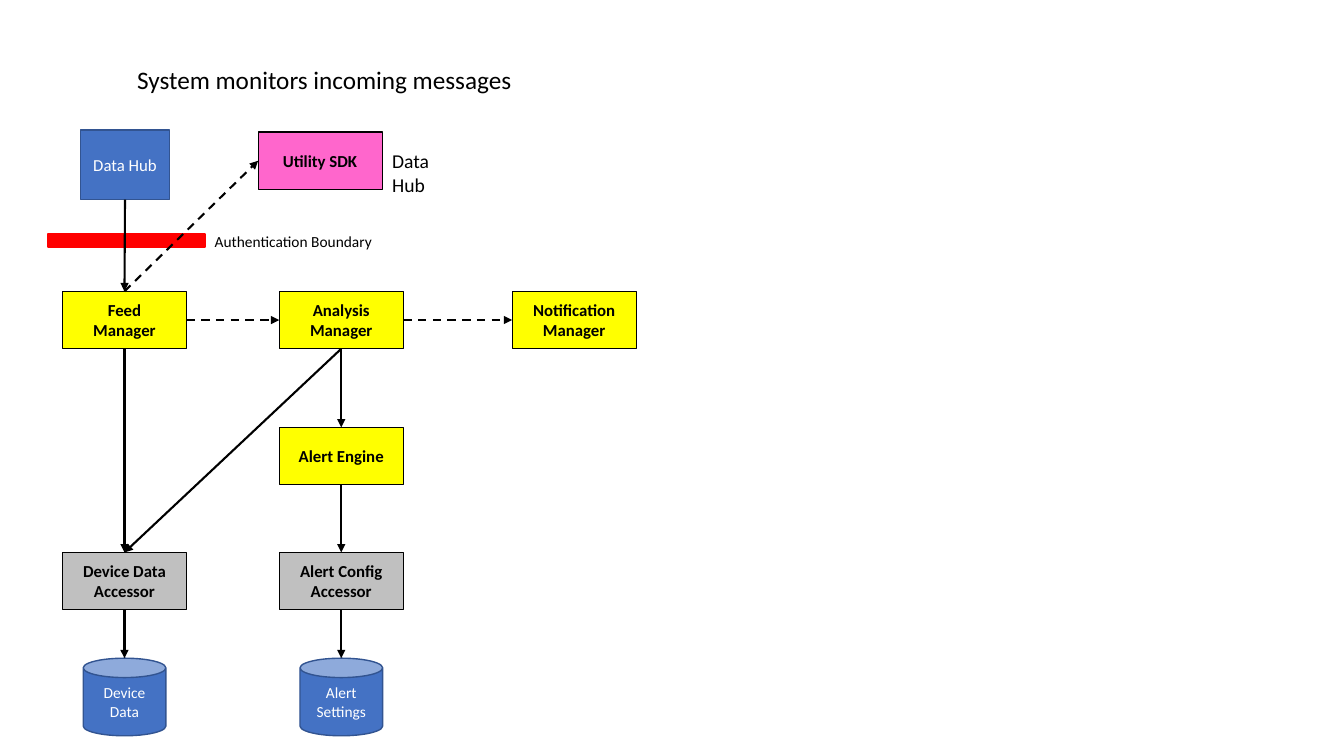
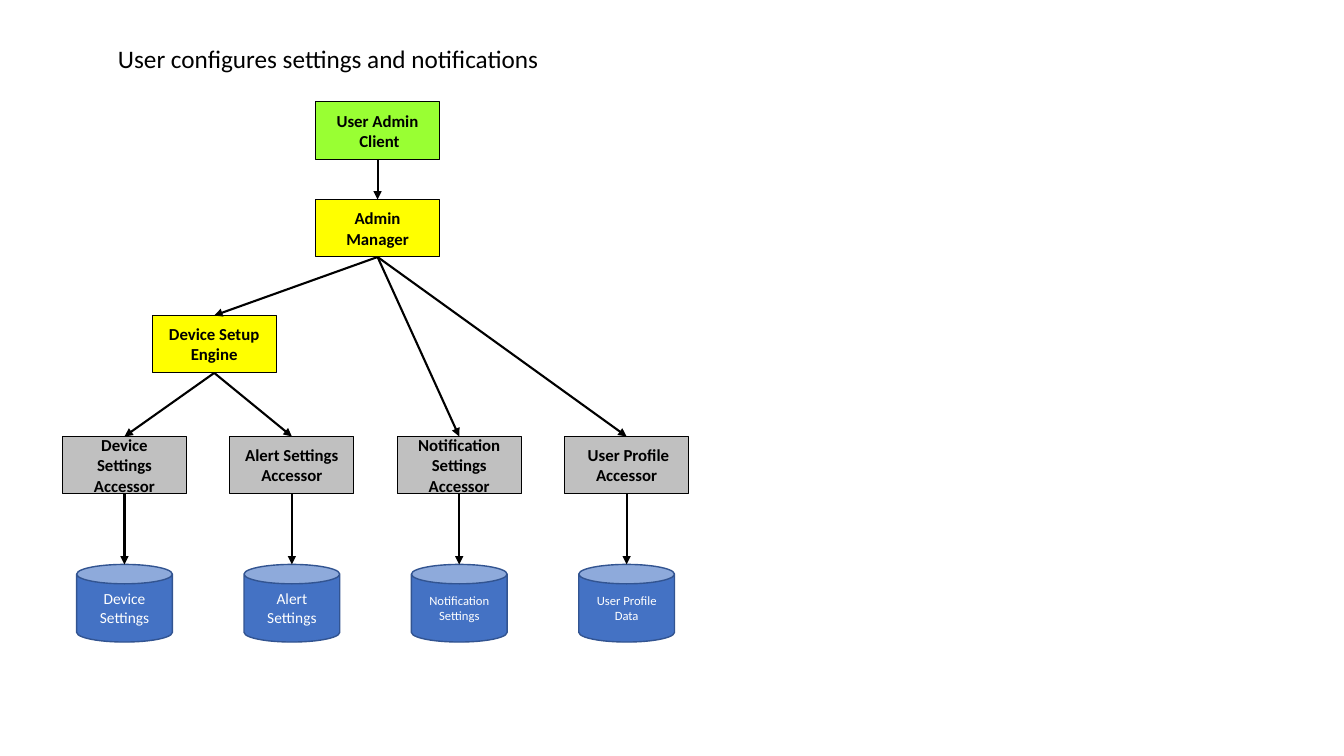
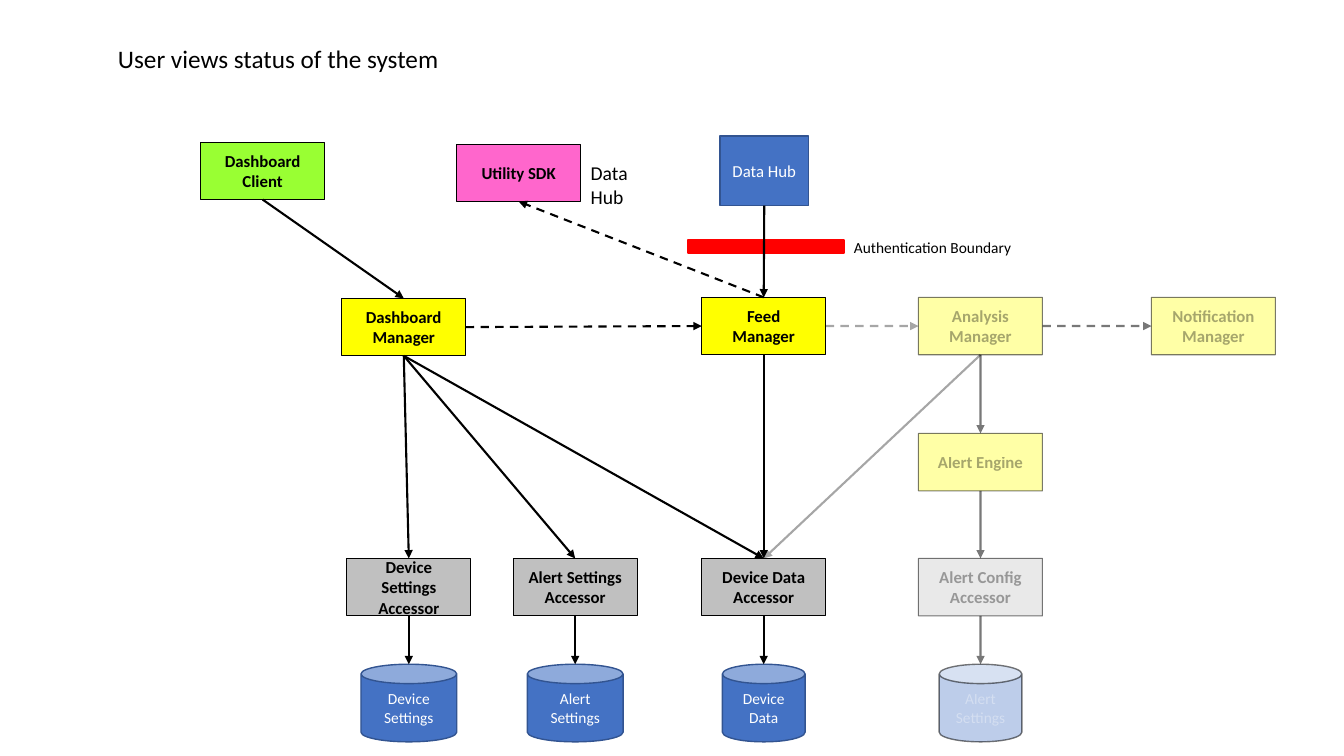
from pptx import Presentation
from pptx.dml.color import RGBColor
from pptx.enum.dml import MSO_LINE_DASH_STYLE as Dash
from pptx.enum.shapes import MSO_CONNECTOR as Wire, MSO_SHAPE as Form
from pptx.enum.text import MSO_ANCHOR as Anchor, MSO_AUTO_SIZE as Fit, PP_ALIGN as Align
from pptx.oxml.ns import qn
from pptx.util import Inches, Pt
from lxml.etree import SubElement

# Shared style
FONT = "Calibri"
BLACK, WHITE, RED = "000000", "FFFFFF", "FF0000"
YELLOW, GREY, GREEN, PINK = "FFFF00", "C0C0C0", "99FF33", "FF66CC"
BLUE, NAVY = "4472C4", "325491"
BOX_W, BOX_H = 1.23, 0.57
CAN_H = 0.77
TOP, LEFT, BOTTOM, RIGHT = range(4)
PALE, DIM = 35, 53  # opacity in percent


def color(code):
    return RGBColor.from_string(code)


def write(frame, text, size, tint=BLACK, bold=False, align=Align.LEFT):
    frame.text = text
    for para in frame.paragraphs:
        para.alignment = align
        for run in para.runs:
            font = run.font
            font.name, font.size, font.bold = FONT, Pt(size), bold
            font.color.rgb = color(tint)


def fade(shape, fill=PALE, line=DIM):
    """Make fill, text and line partly transparent."""
    for tint in shape.element.iter(qn("a:srgbClr")):
        edge = tint.getparent().getparent().tag == qn("a:ln")
        SubElement(tint, qn("a:alpha"), val=str((line if edge else fill) * 1000))


# Elements
def block(slide, form, at, fill, edge, width):
    shape = slide.shapes.add_shape(form, *map(Inches, at))
    shape.shadow.inherit = False
    shape.fill.solid()
    shape.fill.fore_color.rgb = color(fill)
    shape.line.color.rgb = color(edge)
    shape.line.width = Pt(width)
    return shape


def label(shape, text, size, tint, bold=False):
    frame = shape.text_frame
    frame.word_wrap = True
    frame.vertical_anchor = Anchor.MIDDLE
    write(frame, text, size, tint, bold, Align.CENTER)


def box(slide, text, x, y, fill, pale=False):
    shape = block(slide, Form.RECTANGLE, (x, y, BOX_W, BOX_H), fill, BLACK, 0.75)
    label(shape, text, 12, BLACK, True)
    if pale:
        fade(shape)
    return shape


def can(slide, text, x, y, width, size, pale=False):
    edge = BLACK if pale else NAVY
    shape = block(slide, Form.CAN, (x, y, width, CAN_H), BLUE, edge, 1)
    label(shape, text, size, WHITE)
    if pale:
        fade(shape)
    return shape


def note(slide, text, x, y, width, height, size, wrap=False):
    frame = slide.shapes.add_textbox(*map(Inches, (x, y, width, height))).text_frame
    frame.word_wrap = wrap
    write(frame, text, size)


def spot(shape, side):
    x, y, w, h = shape.left, shape.top, shape.width, shape.height
    return [(x + w // 2, y), (x, y + h // 2),
            (x + w // 2, y + h), (x + w, y + h // 2)][side]


def arrow(slide, start, end, sides=(BOTTOM, TOP), dash=False, alpha=None):
    out, into = sides
    wire = slide.shapes.add_connector(
        Wire.STRAIGHT, *spot(start, out), *spot(end, into))
    wire.begin_connect(start, out)
    if end.auto_shape_type == Form.RECTANGLE:
        wire.end_connect(end, into)
    wire.line.color.rgb = color(BLACK)
    wire.line.width = Pt(1.5)
    if dash:
        wire.line.dash_style = Dash.DASH
    props = wire.element.spPr
    SubElement(props.find(qn("a:ln")), qn("a:tailEnd"), type="triangle")
    SubElement(props, qn("a:effectLst"))
    if alpha:
        fade(wire, line=alpha)


def store(slide, name, data, x, y, drop, width=0.95, size=11, pale=False):
    """Accessor with its data store underneath."""
    head = box(slide, name, x, y, GREY, pale)
    base = can(slide, data, x + (BOX_W - width) / 2, y + drop, width, size, pale)
    arrow(slide, head, base, alpha=DIM if pale else None)
    return head


def page(deck, text, x, y, width):
    slide = deck.slides.add_slide(deck.slide_layouts[5])
    title = slide.shapes.title
    title.left, title.top, title.width, title.height = map(
        Inches, (x, y, width, 0.4))
    frame = title.text_frame
    frame.auto_size = Fit.NONE
    frame.word_wrap = False
    frame.vertical_anchor = Anchor.TOP
    write(frame, text, 18)
    return slide


# Parts used on two slides
def flow(slide, dx=0, dy=0, pale=False):
    """Message feed from the hub down to the data stores."""
    def place(text, x, y, faint=False):
        return box(slide, text, x + dx, y + dy, YELLOW, faint)

    dim, faint = (DIM, PALE) if pale else (None, None)
    hub = block(slide, Form.RECTANGLE, (0.8 + dx, 1.29 + dy, 0.88, 0.69),
                BLUE, NAVY, 1)
    label(hub, "Data Hub", 12, WHITE)
    block(slide, Form.RECTANGLE, (0.48 + dx, 2.32 + dy, 1.55, 0.13), RED, RED, 1.5)
    note(slide, "Authentication Boundary", 2.03 + dx, 2.25 + dy, 1.85, 0.29, 11, True)

    feed = place("Feed\nManager", 0.62, 2.89)
    study = place("Analysis Manager", 2.77, 2.89, pale)
    notice = place("Notification Manager", 5.08, 2.89, pale)
    alert = place("Alert Engine", 2.77, 4.24, pale)
    data = store(slide, "Device Data Accessor", "Device Data",
                 0.62 + dx, 5.48 + dy, 1.05, 0.82)
    config = store(slide, "Alert Config Accessor", "Alert Settings",
                   2.77 + dx, 5.48 + dy, 1.05, 0.82, pale=pale)

    arrow(slide, study, data, alpha=faint)
    arrow(slide, study, alert, alpha=dim)
    arrow(slide, alert, config, alpha=dim)
    arrow(slide, feed, study, (RIGHT, LEFT), True, faint)
    arrow(slide, study, notice, (RIGHT, LEFT), True, dim)
    arrow(slide, hub, feed)
    arrow(slide, feed, data)
    return feed, data


def kit(slide, x, y, feed, side):
    """Utility box, its caption and the dashed call from the feed."""
    tool = box(slide, "Utility SDK", x, y, PINK)
    note(slide, "Data Hub", x + BOX_W, y + 0.12, 0.82, 0.34, 14)
    arrow(slide, feed, tool, (TOP, side), True)


# Slides
def watch(deck):
    slide = page(deck, "System monitors incoming messages", 1.26, 0.59, 3.95)
    feed, _ = flow(slide)
    kit(slide, 2.56, 1.31, feed, LEFT)


def setup(deck):
    slide = page(deck, "User configures settings and notifications", 1.07, 0.38, 4.43)
    user = box(slide, "User Admin\n Client", 3.13, 1.01, GREEN)
    admin = box(slide, "Admin Manager", 3.13, 1.98, YELLOW)
    engine = box(slide, "Device Setup Engine", 1.51, 3.13, YELLOW)
    arrow(slide, user, admin)
    arrow(slide, admin, engine)
    rows = [
        (engine, "Device Settings Accessor", "Device Settings", 11),
        (engine, "Alert Settings Accessor", "Alert Settings", 11),
        (admin, "Notification Settings Accessor", "Notification Settings", 9),
        (admin, " User Profile Accessor", "User Profile Data", 9),
    ]
    for i, (owner, name, data, size) in enumerate(rows):
        head = store(slide, name, data, 0.62 + 1.66 * i, 4.33, 1.27, size=size)
        arrow(slide, owner, head)


def view(deck):
    slide = page(deck, "User views status of the system", 1.07, 0.38, 3.41)
    feed, data = flow(slide, 6.34, 0.06, True)
    kit(slide, 4.53, 1.43, feed, BOTTOM)
    client = box(slide, "Dashboard\nClient", 1.99, 1.41, GREEN)
    board = box(slide, "Dashboard\nManager", 3.39, 2.96, YELLOW)
    arrow(slide, client, board)
    arrow(slide, board, feed, (RIGHT, LEFT), True)
    arrow(slide, board, data)
    for x, name in ((3.44, "Device Settings"), (5.09, "Alert Settings")):
        head = store(slide, f"{name} Accessor", name, x, 5.54, 1.05)
        arrow(slide, board, head)


def main():
    deck = Presentation()
    deck.slide_width, deck.slide_height = Inches(13.33), Inches(7.5)
    for build in (watch, setup, view):
        build(deck)
    deck.save("out.pptx")


if __name__ == "__main__":
    main()
